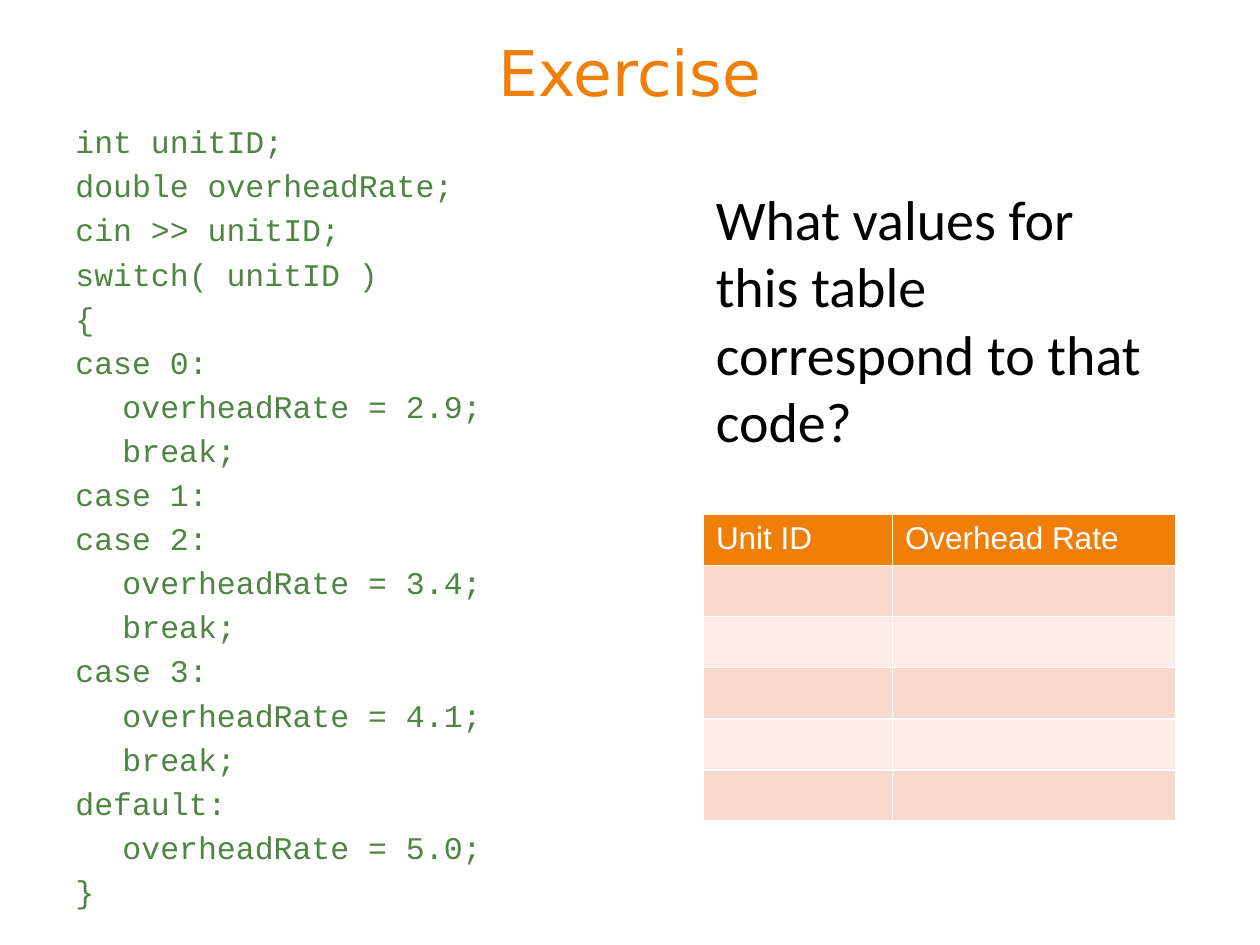
from dataclasses import dataclass

import pptx
import pptx.dml.color
import pptx.enum.text
import pptx.oxml
import pptx.oxml.ns
import pptx.util
from pptx.util import Cm, Pt

ORANGE, GREEN, WHITE, BLACK = "F07F09", "4E8542", "FFFFFF", "000000"
BANDS = ("F9D8CC", "FCECE7")
CODE = """int unitID;
double overheadRate;
cin >> unitID;
switch( unitID )
{
case 0:
\toverheadRate = 2.9;
\tbreak;
case 1:
case 2:
\toverheadRate = 3.4;
\tbreak;
case 3:
\toverheadRate = 4.1;
\tbreak;
default:
\toverheadRate = 5.0;
}"""


@dataclass
class Style:
    font: str
    size: int
    color: str


@dataclass
class Box:
    left: float
    top: float
    width: float
    height: float

    def lengths(self) -> list[pptx.util.Length]:
        return [Cm(v) for v in (self.left, self.top, self.width, self.height)]


def rgb(color: str) -> pptx.dml.color.RGBColor:
    return pptx.dml.color.RGBColor.from_string(color)


def write(p, text: str, style: Style) -> None:
    p.add_run().text = text
    set_font(p, style)


def set_font(p, style: Style) -> None:
    p.font.name, p.font.size, p.font.bold = style.font, Pt(style.size), False
    p.font.color.rgb = rgb(style.color)


def add_text(s, box: Box, lines: list[str], style: Style):
    """Add a wrapping text box with one paragraph per line."""
    tf = s.shapes.add_textbox(*box.lengths()).text_frame
    tf.word_wrap = True
    for i, line in enumerate(lines):
        write(tf.add_paragraph() if i else tf.paragraphs[0], line, style)
    return tf


def add_code(s, box: Box, code: str, style: Style) -> None:
    tf = add_text(s, box, code.splitlines(), style)
    for i, p in enumerate(tf.paragraphs):
        pPr = p._p.get_or_add_pPr()
        pPr.set("marL", str(Cm(0.95)))
        pPr.set("indent", str(-Cm(0.95)))
        if i:
            p.space_before = Pt(3.6)


def set_borders(cell) -> None:
    """Draw white cell borders, 1 pt wide."""
    for side in "LRTB":
        cell._tc.get_or_add_tcPr().append(pptx.oxml.parse_xml(
            f'<a:ln{side} {pptx.oxml.ns.nsdecls("a")} w="{Pt(1)}"><a:solidFill>'
            f'<a:srgbClr val="{WHITE}"/></a:solidFill></a:ln{side}>'))


def add_rate_table(s, box: Box, headers: list[str], widths: list[float],
                   empty_rows: int, style: Style) -> None:
    table = s.shapes.add_table(empty_rows + 1, len(headers), *box.lengths()).table
    for column, width in zip(table.columns, widths):
        column.width = Cm(width)
    for i, row in enumerate(table.rows):
        for cell, header in zip(row.cells, headers):
            p = cell.text_frame.paragraphs[0]
            if i == 0:
                write(p, header, style)
            else:
                set_font(p, style)
            set_borders(cell)
            cell.fill.solid()
            cell.fill.fore_color.rgb = rgb(BANDS[(i - 1) % 2] if i else ORANGE)


def main() -> None:
    prs = pptx.Presentation()
    prs.slide_width, prs.slide_height = Cm(25.4), Cm(19.05)
    s = prs.slides.add_slide(prs.slide_layouts[6])

    title = add_text(s, Box(1.27, 0.76, 22.86, 1.35), ["Exercise"],
                     Style("DejaVu Sans", 36, ORANGE))
    title.vertical_anchor = pptx.enum.text.MSO_ANCHOR.MIDDLE
    title.paragraphs[0].alignment = pptx.enum.text.PP_ALIGN.CENTER

    add_code(s, Box(1.27, 2.34, 11.43, 15.24), CODE, Style("Courier New", 18, GREEN))
    add_rate_table(s, Box(14.18, 10.37, 9.53, 6.18), ["Unit ID", "Overhead Rate"],
                   [3.81, 5.72], 5, Style("Arial", 18, WHITE))
    add_text(s, Box(14.18, 3.6, 9.53, 5.74),
             ["What values for this table correspond to that code?"],
             Style("Calibri", 32, BLACK))
    prs.save("out.pptx")


if __name__ == "__main__":
    main()
